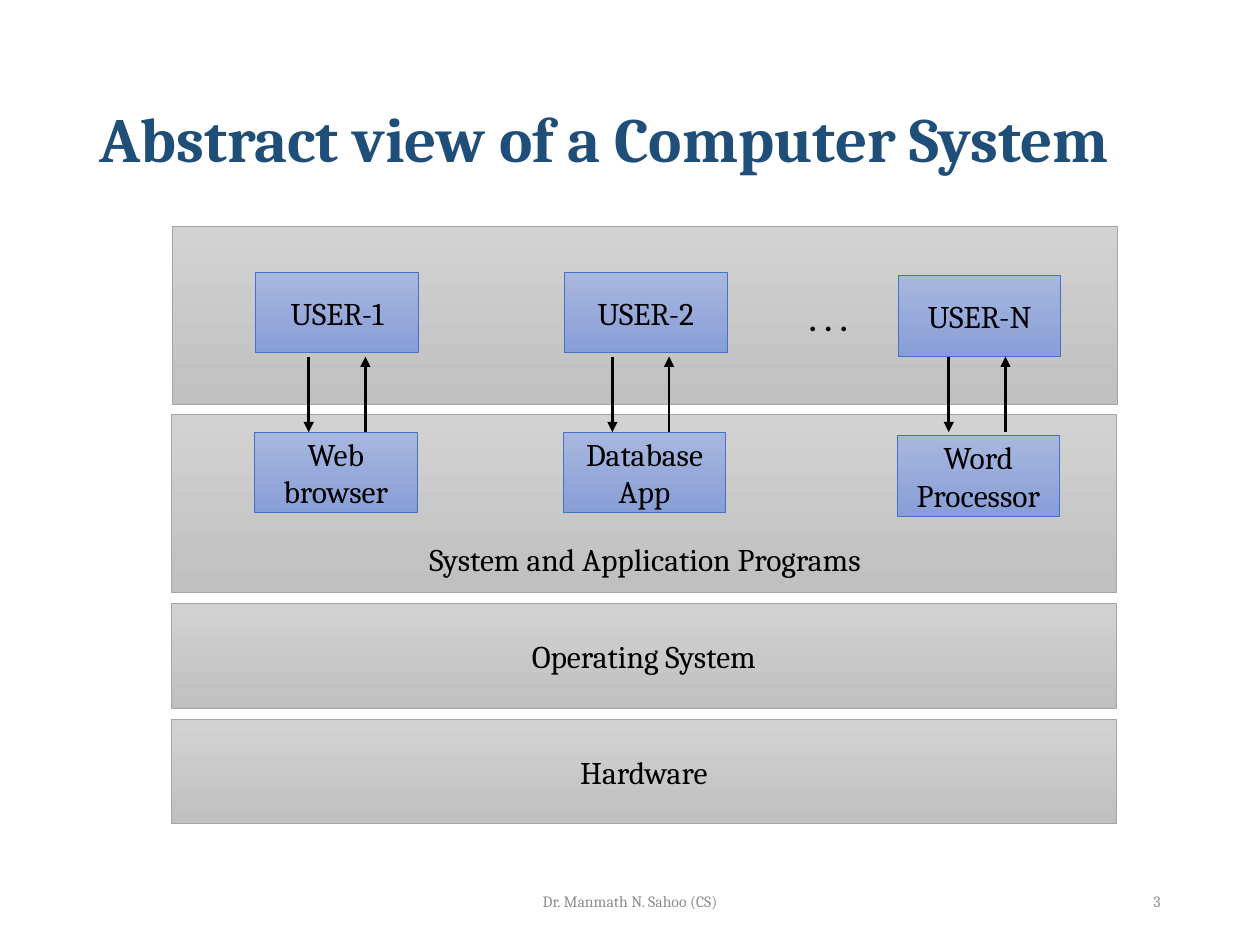
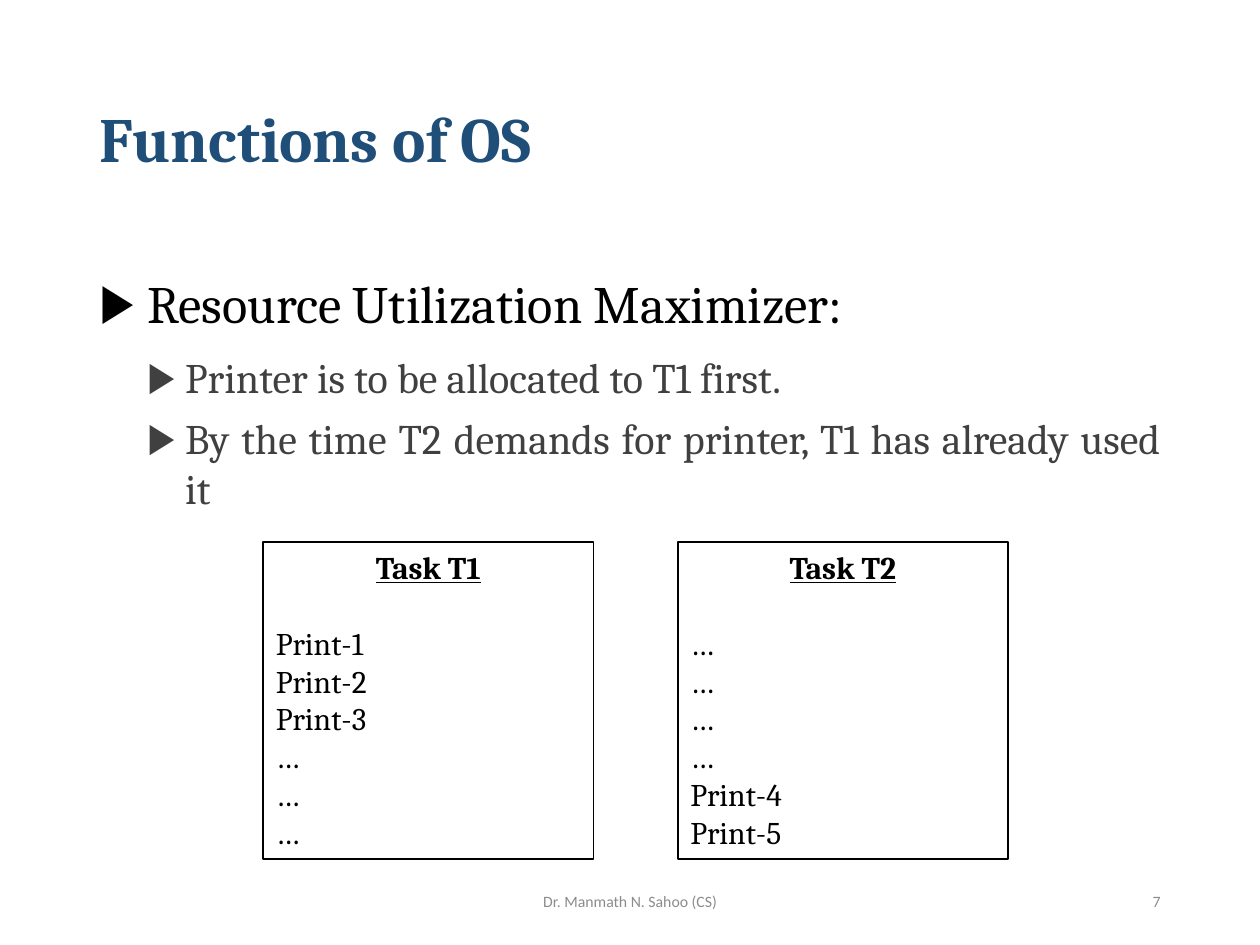
from lxml import etree
from pptx import Presentation
from pptx.dml.color import RGBColor
from pptx.enum.shapes import MSO_CONNECTOR, MSO_SHAPE
from pptx.enum.text import MSO_ANCHOR, MSO_AUTO_SIZE, PP_ALIGN
from pptx.oxml.ns import qn
from pptx.util import Inches, Pt

NAVY = RGBColor(0x1F, 0x4E, 0x79)
BLACK = RGBColor(0, 0, 0)
WHITE = RGBColor(255, 255, 255)
CHARCOAL = RGBColor(0x40, 0x40, 0x40)
FOOTER_GREY = RGBColor(0x8C, 0x8C, 0x8C)
GREY = (RGBColor(0xD2, 0xD2, 0xD2), RGBColor(0xC0, 0xC0, 0xC0), RGBColor(0xA5, 0xA5, 0xA5))
BLUE = (RGBColor(0xA8, 0xB7, 0xDF), RGBColor(0x88, 0x9E, 0xD7), RGBColor(0x44, 0x72, 0xC4))
SERIF, SANS = "Cambria", "Calibri"
TITLE_ONLY, TITLE_AND_BODY = 5, 1
FOOTER = "Dr. Manmath N. Sahoo (CS)"


class Deck:
    def __init__(self):
        self.prs = Presentation()
        self.prs.slide_width, self.prs.slide_height = Inches(10), Inches(7.5)
        self.slide = None

    def new_slide(self, layout, title, number, footer_font=SERIF):
        self.slide = self.prs.slides.add_slide(self.prs.slide_layouts[layout])
        shape = self.slide.shapes.title
        self.place(shape, 0.69, 0.4, 8.62, 1.45)
        frame = self.frame(shape, MSO_ANCHOR.MIDDLE)
        self.add_text(frame.paragraphs[0], title, 36, NAVY, bold=True).line_spacing = 0.9
        for left, width, text, align in ((3.31, 3.38, FOOTER, PP_ALIGN.CENTER),
                                         (7.06, 2.25, str(number), PP_ALIGN.RIGHT)):
            self.label(left, 6.95, width, text, 9, FOOTER_GREY, align, footer_font,
                       anchor=MSO_ANCHOR.MIDDLE)

    def place(self, shape, left, top, width, height):
        shape.left, shape.top = Inches(left), Inches(top)
        shape.width, shape.height = Inches(width), Inches(height)

    def frame(self, shape, anchor):
        frame = shape.text_frame
        frame.word_wrap = True
        frame.auto_size = MSO_AUTO_SIZE.NONE
        frame.vertical_anchor = anchor
        return frame

    def add_text(self, paragraph, text, size, color=BLACK, align=PP_ALIGN.LEFT, font=SERIF,
                 bold=False, underline=False):
        paragraph.alignment = align
        run = paragraph.add_run()
        run.text = text
        run.font.name, run.font.size = font, Pt(size)
        run.font.bold, run.font.underline = bold, underline
        run.font.color.rgb = color
        return paragraph

    def label(self, left, top, width, text, size=18, color=BLACK, align=PP_ALIGN.CENTER,
              font=SERIF, bold=False, anchor=MSO_ANCHOR.TOP):
        box = self.slide.shapes.add_textbox(Inches(left), Inches(top), Inches(width), Inches(0.4))
        self.add_text(self.frame(box, anchor).paragraphs[0], text, size, color, align, font, bold)

    def rectangle(self, left, top, width, height, line, weight):
        shape = self.slide.shapes.add_shape(MSO_SHAPE.RECTANGLE, Inches(left), Inches(top),
                                            Inches(width), Inches(height))
        shape.shadow.inherit = False
        shape.line.color.rgb, shape.line.width = line, Pt(weight)
        return shape

    def block(self, left, top, width, height, palette, text=""):
        light, dark, edge = palette
        shape = self.rectangle(left, top, width, height, edge, 0.5)
        shape.fill.gradient()
        shape.fill.gradient_angle = 270
        for stop, color in zip(shape.fill.gradient_stops, (light, dark)):
            stop.color.rgb = color
        if text:
            frame = self.frame(shape, MSO_ANCHOR.MIDDLE)
            self.add_text(frame.paragraphs[0], text, 18, align=PP_ALIGN.CENTER)

    def arrow(self, x, start, end):
        connector = self.slide.shapes.add_connector(MSO_CONNECTOR.STRAIGHT, Inches(x),
                                                    Inches(start), Inches(x), Inches(end))
        connector.line.color.rgb, connector.line.width = BLACK, Pt(1.5)
        properties = connector._element.spPr
        etree.SubElement(properties.find(qn("a:ln")), qn("a:tailEnd"), type="triangle")
        etree.SubElement(properties, qn("a:effectLst"))

    def bullets(self, items):
        body = self.slide.placeholders[1]
        self.place(body, 0.69, 2, 8.62, 4.76)
        frame = self.frame(body, MSO_ANCHOR.TOP)
        styles = ((30, BLACK, 0.38, 0.38, 1.2, 10), (24, CHARCOAL, 0.68, 0.3, 1.0, 6))
        for i, (level, text) in enumerate(items):
            size, color, margin, hanging, spacing, after = styles[level]
            paragraph = frame.add_paragraph() if i else frame.paragraphs[0]
            self.add_text(paragraph, text, size, color, PP_ALIGN.JUSTIFY)
            paragraph.level = level
            paragraph.line_spacing = spacing
            paragraph.space_before, paragraph.space_after = Pt(0), Pt(after)
            props = paragraph._p.get_or_add_pPr()
            props.set("marL", str(Inches(margin)))
            props.set("indent", str(-Inches(hanging)))
            etree.SubElement(props, qn("a:buFont"), typeface="Arial")
            etree.SubElement(props, qn("a:buChar"), char="\u25b6")

    def task(self, left, name, steps):
        shape = self.rectangle(left, 4.3, 2.62, 2.52, BLACK, 1)
        shape.fill.solid()
        shape.fill.fore_color.rgb = WHITE
        frame = self.frame(shape, MSO_ANCHOR.TOP)
        heading = self.add_text(frame.paragraphs[0], name, 18, align=PP_ALIGN.CENTER,
                                bold=True, underline=True)
        heading.space_after = Pt(21.7)
        for step in steps:
            self.add_text(frame.add_paragraph(), step, 18)


deck = Deck()

deck.new_slide(TITLE_ONLY, "Abstract view of a Computer System", 3)
for left, top, height, text in ((1.36, 3.29, 1.41, ""), (1.36, 4.79, 0.83, "Operating System"),
                                (1.36, 5.71, 0.83, "Hardware"), (1.37, 1.8, 1.41, "")):
    deck.block(left, top, 7.5, height, GREY, text)
columns = ((2.02, 0, 2.45, "USER-1", "Web browser"),
           (4.47, 0, 4.86, "USER-2", "Database App"),
           (7.12, 0.03, 7.53, "USER-N", "Word Processor"))
for left, drop, arrow_x, user, program in columns:
    deck.block(left, 3.43 + drop, 1.29, 0.64, BLUE, program)
    deck.block(left + 0.01, 2.16 + drop, 1.29, 0.64, BLUE, user)
    deck.arrow(arrow_x, 2.83, 3.43)
    deck.arrow(arrow_x + 0.45, 3.43, 2.83)
deck.label(2.9, 4.24, 4.44, "System and Application Programs")
deck.label(6.32, 2.33, 0.74, ". . .", align=PP_ALIGN.LEFT, font=SANS, bold=True)

deck.new_slide(TITLE_AND_BODY, "Functions of OS", 7, SANS)
deck.bullets(((0, "Resource Utilization Maximizer:"),
              (1, "Printer is to be allocated to T1 first."),
              (1, "By the time T2 demands for printer, T1 has already used it")))
deck.task(2.09, "Task T1", ["Print-1", "Print-2", "Print-3"] + ["\u2026"] * 3)
deck.task(5.38, "Task T2", ["\u2026"] * 4 + ["Print-4", "Print-5"])

deck.prs.save("out.pptx")
